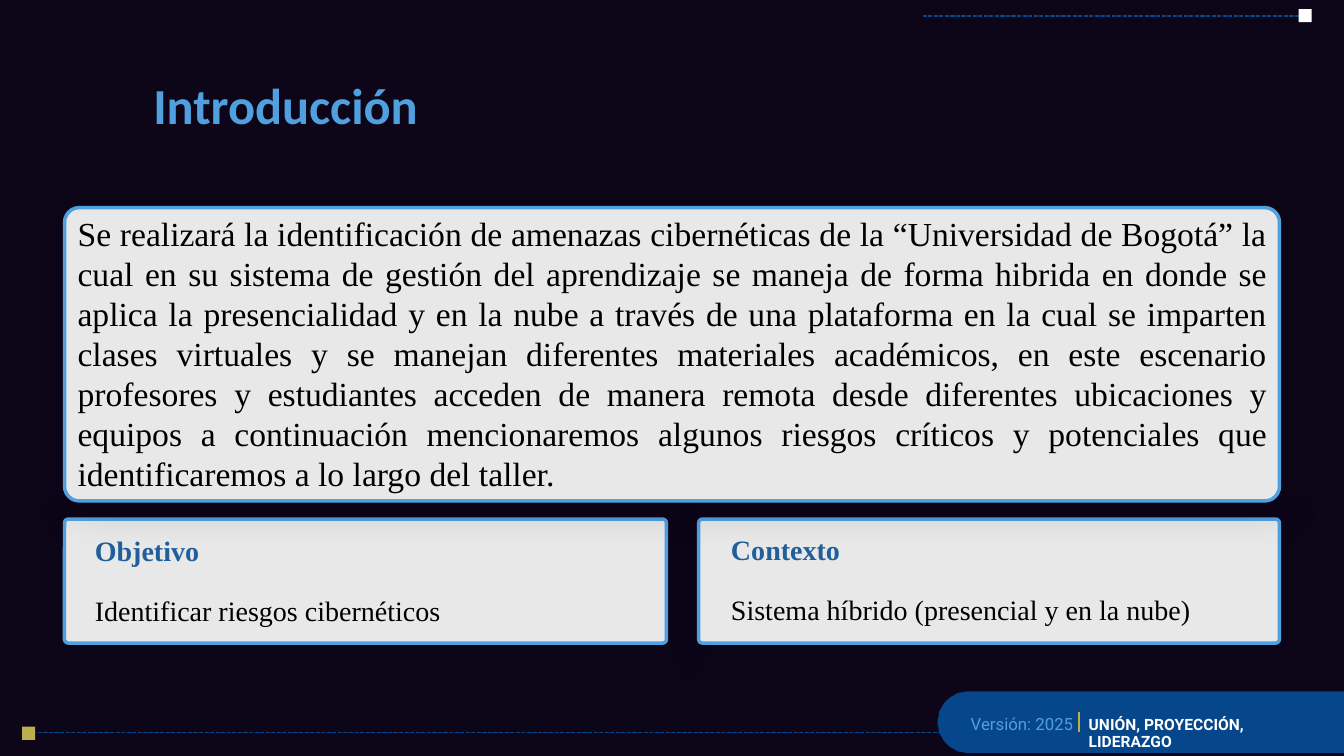
from math import cos, pi, sin

from lxml import etree
from pptx import Presentation
from pptx.dml.color import RGBColor
from pptx.enum.dml import MSO_LINE
from pptx.enum.shapes import MSO_CONNECTOR, MSO_SHAPE
from pptx.enum.text import MSO_ANCHOR, MSO_AUTO_SIZE, PP_ALIGN
from pptx.oxml.ns import qn
from pptx.util import Pt

PX = 9144  # EMU per px, 100 px to the inch
SLIDE_W, SLIDE_H = 1333, 750

NIGHT = RGBColor(0x0D, 0x06, 0x19)
NAVY = RGBColor(0x06, 0x47, 0x8B)
SKY = RGBColor(0x50, 0xA0, 0xE0)
HEADING_BLUE = RGBColor(0x21, 0x5F, 0x9A)
GOLD = RGBColor(0xBA, 0xAF, 0x4C)
PALE = RGBColor(0xE8, 0xE8, 0xE8)
WHITE = RGBColor(0xFF, 0xFF, 0xFF)
BLACK = RGBColor(0, 0, 0)

RECT, ROUNDED = MSO_SHAPE.RECTANGLE, MSO_SHAPE.ROUNDED_RECTANGLE
STRAIGHT = MSO_CONNECTOR.STRAIGHT
DASHED = MSO_LINE.SQUARE_DOT
LEFT, JUSTIFY = PP_ALIGN.LEFT, PP_ALIGN.JUSTIFY

TITLE = "Introducción"
INTRODUCTION = (
    "Se realizará la identificación de amenazas cibernéticas de la “Universidad de Bogotá” "
    "la cual en su sistema de gestión del aprendizaje se maneja de forma hibrida en donde se "
    "aplica la presencialidad y en la nube a través de una plataforma en la cual se imparten "
    "clases virtuales y se manejan diferentes materiales académicos, en este escenario "
    "profesores y estudiantes acceden de manera remota desde diferentes ubicaciones y equipos "
    "a continuación mencionaremos algunos riesgos críticos y potenciales que identificaremos "
    "a lo largo del taller."
)
# heading, detail, card left, card width, text left, heading top
CARDS = [
    ("Objetivo", "Identificar riesgos cibernéticos", 64, 597, 94, 529),
    ("Contexto", "Sistema híbrido (presencial y en la nube)", 693, 576, 725, 528),
]
VERSION = "Versión: 2025"
MOTTO = "UNIÓN, PROYECCIÓN, LIDERAZGO"

CARD_TOP, CARD_H, DETAIL_DROP = 515, 123, 54
MARKER = 13
PILL_LEFT, PILL_TOP, PILL_H, PILL_CURVE = 930, 686, 61, 31

TITLE_FONT = {"name": "Calibri", "size": Pt(36), "bold": True}
INTRO_FONT = {"name": "Times New Roman", "size": Pt(24)}
HEADING_FONT = {"name": "Times New Roman", "size": Pt(20), "bold": True}
DETAIL_FONT = {"name": "Times New Roman", "size": Pt(20)}
VERSION_FONT = {"name": "Roboto", "size": Pt(12)}
MOTTO_FONT = {"name": "Roboto", "size": Pt(11.1), "bold": True}


def emu(*lengths):
    return [length * PX for length in lengths]


def write(frame, text, font, color, align=LEFT, spacing=None):
    frame.word_wrap = True
    paragraph = frame.paragraphs[0]
    paragraph.alignment = align
    paragraph.line_spacing = spacing
    run = paragraph.add_run()
    run.text = text
    for attribute, value in font.items():
        setattr(run.font, attribute, value)
    run.font.color.rgb = color


def add_text(shapes, box, text, font, color, align=LEFT, spacing=None, margins=(0, 0)):
    frame = shapes.add_textbox(*emu(*box)).text_frame
    frame.margin_left = frame.margin_right = margins[0] * PX
    frame.margin_top = frame.margin_bottom = margins[1] * PX
    write(frame, text, font, color, align, spacing)


def add_line(shapes, start, end, color, width, dash=None):
    line = shapes.add_connector(STRAIGHT, *emu(*start, *end))
    line.line.color.rgb = color
    line.line.width = Pt(width)
    if dash:
        line.line.dash_style = dash
    etree.SubElement(line._element.spPr, qn("a:effectLst"))


def add_marker(shapes, left, top, color):
    marker = shapes.add_shape(RECT, *emu(left, top, MARKER, MARKER))
    marker.shadow.inherit = False
    marker.fill.solid()
    marker.fill.fore_color.rgb = color
    marker.line.fill.background()


def add_panel(shapes, box, rounding):
    """Pale rounded box with a sky-blue border and a soft drop shadow."""
    panel = shapes.add_shape(ROUNDED, *emu(*box))
    panel.adjustments[0] = rounding
    panel.shadow.inherit = False
    panel.fill.solid()
    panel.fill.fore_color.rgb = PALE
    panel.line.color.rgb = SKY
    panel.line.width = Pt(2.5)
    effects = panel._element.spPr.find(qn("a:effectLst"))
    shadow = etree.SubElement(effects, qn("a:outerShdw"), blurRad=str(Pt(30)),
                              dist=str(Pt(7)), dir="2700000", algn="tl", rotWithShape="0")
    shade = etree.SubElement(shadow, qn("a:srgbClr"), val=str(BLACK))
    etree.SubElement(shade, qn("a:alpha"), val="15000")


def add_pill(shapes):
    """Footer band with a half-round left end, running to the slide edge."""
    radius, steps = PILL_H / 2, 32
    arc = [(PILL_LEFT + PILL_CURVE * (1 - sin(pi * i / steps)),
            PILL_TOP + radius * (1 + cos(pi * i / steps))) for i in range(steps + 1)]
    builder = shapes.build_freeform(SLIDE_W, PILL_TOP, scale=PX)
    builder.add_line_segments([(SLIDE_W, PILL_TOP + PILL_H), *arc], close=True)
    pill = builder.convert_to_shape()
    pill.shadow.inherit = False
    pill.fill.solid()
    pill.fill.fore_color.rgb = NAVY
    pill.line.fill.background()


def add_frame(shapes):
    """Dashed rules with their end squares, and the footer band."""
    add_line(shapes, (32, 727), (1288, 727), NAVY, 1, DASHED)
    add_marker(shapes, 22, 721, GOLD)
    add_pill(shapes)
    add_text(shapes, (953, 705, 196, 33), VERSION, VERSION_FONT, SKY,
             spacing=0.9, margins=(10, 5))
    add_text(shapes, (1070, 707, 253, 33), MOTTO, MOTTO_FONT, WHITE,
             spacing=0.9, margins=(10, 5))
    add_line(shapes, (1070, 706), (1070, 726), GOLD, 1.5)
    add_line(shapes, (915, 16), (1295, 16), NAVY, 1, DASHED)
    add_marker(shapes, 1288, 9, WHITE)


def place_title(title):
    title.left, title.top, title.width, title.height = emu(142, 15, 876, 124)
    title.text_frame.auto_size = MSO_AUTO_SIZE.NONE
    title.text_frame.vertical_anchor = MSO_ANCHOR.BOTTOM
    write(title.text_frame, TITLE, TITLE_FONT, SKY, spacing=0.9)


def main():
    deck = Presentation()
    deck.slide_width, deck.slide_height = emu(SLIDE_W, SLIDE_H)
    slide = deck.slides.add_slide(deck.slide_layouts[5])
    slide.background.fill.solid()
    slide.background.fill.fore_color.rgb = NIGHT
    shapes = slide.shapes

    place_title(shapes.title)
    add_frame(shapes)
    for heading, detail, left, width, text_left, top in CARDS:
        add_panel(shapes, (left, CARD_TOP, width, CARD_H), 0.03)
        add_text(shapes, (text_left, top, 198, 34), heading, HEADING_FONT, HEADING_BLUE)
        add_text(shapes, (text_left, top + DETAIL_DROP, 545, 37), detail, DETAIL_FONT,
                 BLACK, spacing=Pt(28.5))
    add_panel(shapes, (64, 206, 1205, 291), 0.05)
    add_text(shapes, (77, 212, 1180, 282), INTRODUCTION, INTRO_FONT, BLACK,
             JUSTIFY, Pt(28.5))

    deck.save("out.pptx")


if __name__ == "__main__":
    main()
